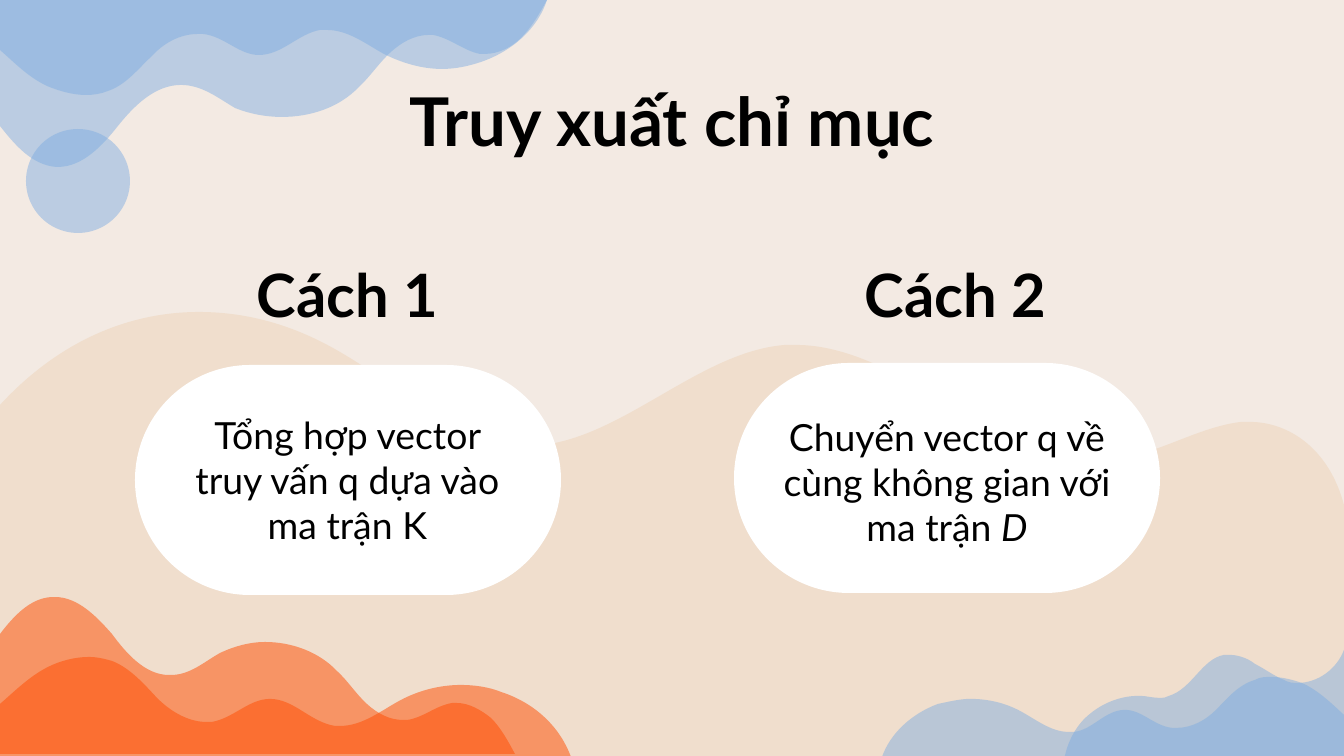
from pptx import Presentation
from pptx.dml.color import RGBColor
from pptx.enum.shapes import MSO_SHAPE
from pptx.enum.text import MSO_ANCHOR, PP_ALIGN
from pptx.oxml.ns import qn
from pptx.util import Pt
from lxml import etree

PX = 914400 / 134.4
WIDTH, HEIGHT = 1344, 756

CREAM, SAND, BLUE, ORANGE = "F3EAE3", "F0DECD", "7CACE1", "FF4D01"
WHITE, BLACK, FONT = "FFFFFF", "000000", "Lato"

# Waves: colour, opacity %, then points; two numbers are a corner, six a Bezier curve
TOP_LOW = (BLUE, 47, [
    (58, 167), (56, 167), (32, 165, 15, 145, 0, 126), (0, 0), (547, 0),
    (540, 13, 532, 27, 521, 38), (512, 47, 499, 54, 485, 54), (480, 54),
    (464, 51, 450, 38, 433, 35), (429, 35), (414, 35, 401, 43, 391, 52),
    (379, 63, 370, 77, 359, 87), (339, 108, 310, 117, 282, 117),
    (266, 117, 250, 114, 235, 108), (218, 98, 202, 85, 181, 85),
    (155, 85, 134, 106, 118, 126), (103, 145, 83, 167, 58, 167)])
TOP_HIGH = (BLUE, 47, [
    (86, 95), (73, 95, 59, 91, 47, 86), (28, 77, 15, 63, 0, 50), (0, 0), (547, 0),
    (538, 28, 513, 51, 481, 62), (469, 66, 456, 69, 442, 69),
    (422, 69, 402, 63, 384, 54), (366, 44, 348, 30, 327, 30), (320, 30),
    (298, 34, 282, 55, 259, 55), (239, 55, 224, 36, 203, 34), (198, 34),
    (179, 34, 163, 44, 152, 56), (138, 69, 126, 85, 108, 91),
    (101, 94, 93, 95, 86, 95)])
DUNE = (SAND, 100, [
    (199, 312), (129, 312, 59, 341, 0, 405), (0, 756), (1344, 756), (1344, 505),
    (1329, 448, 1288, 422, 1250, 422), (1241, 422),
    (1199, 427, 1160, 453, 1120, 458), (1113, 460, 1106, 460, 1099, 460),
    (997, 460, 899, 345, 796, 345), (785, 345),
    (696, 352, 616, 446, 527, 446), (517, 446),
    (456, 441, 399, 386, 340, 352), (294, 325, 247, 312, 199, 312)])
RIGHT_HIGH = (BLUE, 47, [
    (1344, 650), (1344, 761), (1064, 761), (1067, 742, 1077, 724, 1090, 714),
    (1103, 703, 1121, 696, 1138, 696), (1141, 696),
    (1146, 696, 1153, 698, 1160, 698), (1163, 698, 1166, 698, 1169, 696),
    (1192, 689, 1202, 659, 1224, 655), (1230, 655),
    (1239, 655, 1249, 659, 1255, 664), (1265, 669, 1274, 676, 1284, 680),
    (1289, 683, 1293, 683, 1298, 683), (1318, 683, 1337, 669, 1344, 650)])
RIGHT_LOW = (BLUE, 47, [
    (1271, 677), (1282, 677, 1294, 680, 1304, 684),
    (1320, 692, 1332, 704, 1344, 715), (1344, 757), (882, 757),
    (890, 734, 911, 714, 938, 704), (948, 702, 960, 699, 970, 699),
    (988, 699, 1005, 703, 1020, 711), (1035, 719, 1051, 732, 1068, 732), (1074, 732),
    (1093, 730, 1105, 710, 1125, 710), (1142, 710, 1154, 726, 1172, 728), (1177, 728),
    (1192, 728, 1206, 720, 1216, 710), (1227, 699, 1238, 685, 1255, 680),
    (1260, 677, 1266, 677, 1271, 677)])
LEFT_HIGH = (ORANGE, 51, [
    (55, 597), (52, 597), (30, 598, 13, 617, 0, 634), (0, 754), (515, 754),
    (508, 741, 501, 728, 491, 718), (481, 710, 469, 703, 457, 703), (452, 703),
    (435, 706, 423, 718, 407, 720), (403, 720), (390, 720, 378, 714, 367, 704),
    (356, 694, 348, 681, 337, 671), (319, 652, 292, 642, 265, 642),
    (250, 642, 235, 646, 220, 653), (204, 662, 190, 675, 171, 675), (169, 675),
    (145, 675, 126, 653, 112, 634), (97, 617, 78, 597, 55, 597)])
LEFT_LOW = (ORANGE, 51, [
    (89, 657), (75, 657, 60, 661, 48, 667), (30, 676, 15, 691, 0, 704),
    (0, 757), (571, 757), (560, 727, 535, 703, 501, 692),
    (489, 687, 474, 685, 461, 685), (439, 685, 418, 691, 401, 700),
    (382, 710, 363, 726, 340, 726), (335, 726), (310, 722, 294, 699, 270, 699),
    (249, 699, 234, 718, 212, 722), (206, 722), (187, 722, 169, 710, 157, 698),
    (144, 684, 130, 668, 112, 661), (105, 659, 97, 657, 89, 657)])

BUBBLE = (26, 129, 104, 104)

# Text: box, runs as (words, italic)
TITLE = ((105, 66, 1134, 109), [("Truy xuất chỉ mục", False)])
METHODS = [
    {"heading": ((175, 265, 345, 78), [("Cách 1", False)]),
     "card": (135, 365, 426, 230),
     "body": ((175, 406, 345, 149),
              [("Tổng hợp vector truy vấn q dựa vào ma trận K", False)])},
    {"heading": ((783, 265, 345, 78), [("Cách 2", False)]),
     "card": (734, 363, 426, 230),
     "body": ((754, 408, 386, 149),
              [("Chuyển vector q về cùng không gian với ma trận ", False), ("D", True)])},
]
TITLE_STYLE = {"size": Pt(36), "bold": True}
HEADING_STYLE = {"size": Pt(32), "bold": True}
BODY_STYLE = {"size": Pt(20), "bold": False}
HEAD_FRAME = {"margin_top": round(13 * PX), "margin_bottom": round(13 * PX)}


def emu(*lengths):
    return [round(length * PX) for length in lengths]


def rgb(color):
    return RGBColor.from_string(color)


def paint(shape, color, opacity=100):
    shape.shadow.inherit = False
    shape.line.fill.background()
    shape.fill.solid()
    shape.fill.fore_color.rgb = rgb(color)
    if opacity < 100:
        tint = shape._element.spPr.find(qn("a:solidFill"))[0]
        etree.SubElement(tint, qn("a:alpha"), val=str(opacity * 1000))


def add_wave(color, opacity, points):
    start, *ends = [emu(*point[-2:]) for point in points]
    builder = slide.shapes.build_freeform(*start, scale=1.0)
    builder.add_line_segments(ends, close=True)
    wave = builder.convert_to_shape()
    # Bend the segments that carry control points
    segments = list(wave._element.iter(qn("a:lnTo")))
    for segment, point in zip(segments, points[1:]):
        if len(point) == 6:
            curve = etree.Element(qn("a:cubicBezTo"))
            for x, y in (emu(*point[i:i + 2]) for i in (0, 2, 4)):
                etree.SubElement(curve, qn("a:pt"), x=str(x - wave.left), y=str(y - wave.top))
            segment.getparent().replace(segment, curve)
    paint(wave, color, opacity)


def add_text(content, style, frame_style):
    box, runs = content
    frame = slide.shapes.add_textbox(*emu(*box)).text_frame
    for key, value in {"word_wrap": True, **frame_style}.items():
        setattr(frame, key, value)
    paragraph = frame.paragraphs[0]
    paragraph.alignment = PP_ALIGN.CENTER
    for words, italic in runs:
        run = paragraph.add_run()
        run.text = words
        for key, value in {"name": FONT, "italic": italic, **style}.items():
            setattr(run.font, key, value)
        run.font.color.rgb = rgb(BLACK)


prs = Presentation()
prs.slide_width, prs.slide_height = emu(WIDTH, HEIGHT)
slide = prs.slides.add_slide(prs.slide_layouts[6])
slide.background.fill.solid()
slide.background.fill.fore_color.rgb = rgb(CREAM)

# Backdrop
add_wave(*TOP_LOW)
paint(slide.shapes.add_shape(MSO_SHAPE.OVAL, *emu(*BUBBLE)), BLUE, 47)
for layer in (TOP_HIGH, DUNE, RIGHT_HIGH, RIGHT_LOW, LEFT_HIGH, LEFT_LOW):
    add_wave(*layer)

# Title and headings
add_text(TITLE, TITLE_STYLE, HEAD_FRAME)
for method in METHODS:
    add_text(method["heading"], HEADING_STYLE,
             {"vertical_anchor": MSO_ANCHOR.BOTTOM, **HEAD_FRAME})

# Cards
for method in METHODS:
    card = slide.shapes.add_shape(MSO_SHAPE.ROUNDED_RECTANGLE, *emu(*method["card"]))
    card.adjustments[0] = 0.5
    paint(card, WHITE)
    add_text(method["body"], BODY_STYLE, {})

prs.save("out.pptx")
